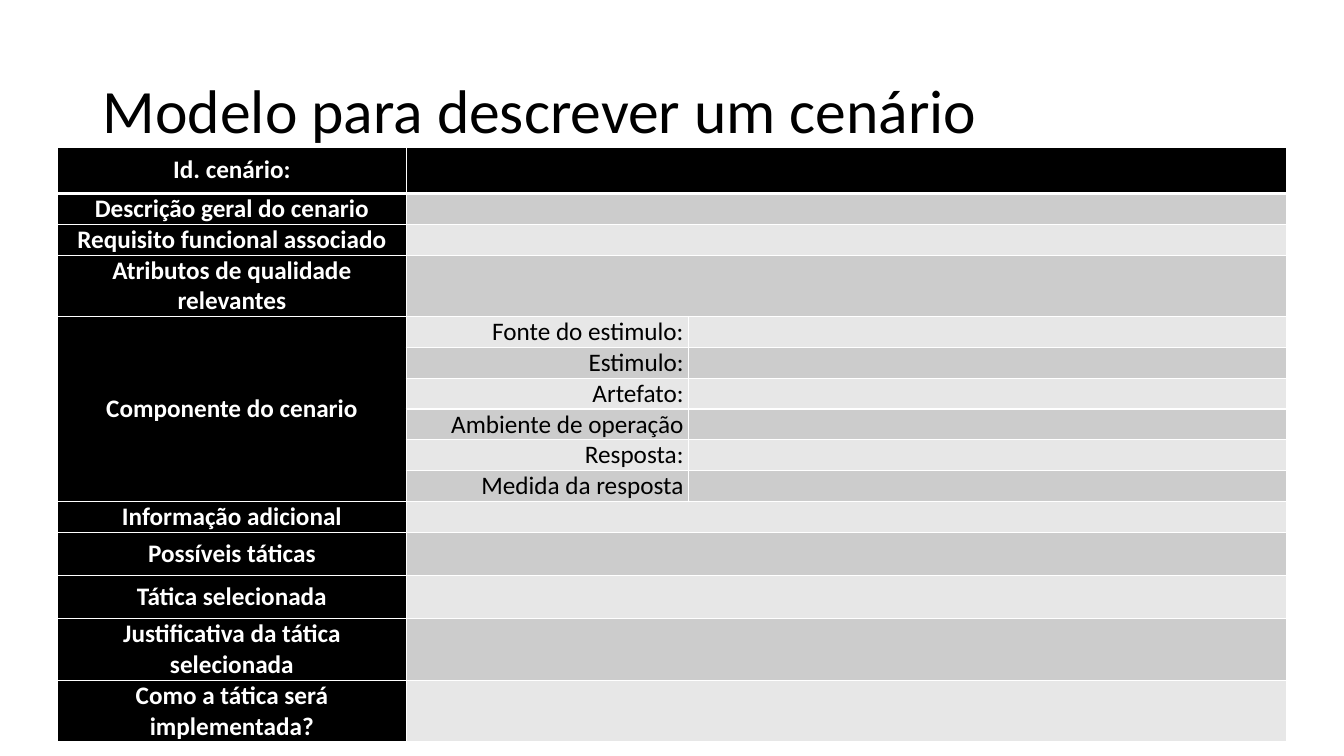
from dataclasses import dataclass

from lxml import etree
from pptx import Presentation
from pptx.dml.color import RGBColor
from pptx.enum.text import MSO_ANCHOR, MSO_AUTO_SIZE, PP_ALIGN
from pptx.oxml.ns import qn
from pptx.util import Inches, Pt

LEFT, CENTER, RIGHT = PP_ALIGN.LEFT, PP_ALIGN.CENTER, PP_ALIGN.RIGHT
MIDDLE = MSO_ANCHOR.MIDDLE
NO_AUTOFIT = MSO_AUTO_SIZE.NONE
TITLE_ONLY = 5

LINE, TALL, DOUBLE = 0.3, 0.43, 0.61
COLUMN_WIDTHS = [3.46, 2.8, 5.93]
COMPONENT = "Componente do cenario"
COMPONENT_PARTS = ["Fonte do estimulo:", "Estimulo:", "Artefato:",
                   "Ambiente de operação", "Resposta:", "Medida da resposta"]
# Row heading, second-column label, row height
ROWS = [
    ("Id. cenário:", "", 0.46),
    ("Descrição geral do cenario", "", LINE),
    ("Requisito funcional associado", "", LINE),
    ("Atributos de qualidade relevantes", "", DOUBLE),
    *[(COMPONENT if i == 0 else "", part, LINE) for i, part in enumerate(COMPONENT_PARTS)],
    ("Informação adicional", "", LINE),
    ("Possíveis táticas", "", TALL),
    ("Tática selecionada", "", TALL),
    ("Justificativa da tática selecionada", "", DOUBLE),
    ("Como a tática será implementada?", "", DOUBLE),
]


@dataclass(frozen=True)
class Theme:
    font: str = "Calibri"
    title_size: int = 44
    cell_size: int = 18
    dark: str = "000000"
    light: str = "FFFFFF"
    bands: tuple = ("E7E7E7", "CCCCCC")
    border: float = 1
    header_border: float = 3


def write_text(tf, text, *, font, size, color, bold=False, align=LEFT, spacing=None):
    p = tf.paragraphs[0]
    p.alignment = align
    p.line_spacing = spacing
    r = p.add_run()
    r.text = text
    r.font.name = font
    r.font.size = Pt(size)
    r.font.bold = bold
    r.font.color.rgb = RGBColor.from_string(color)


def set_borders(cell, color, **widths):
    """Draw the sides L, R, T and B at the given widths in points."""
    tc_pr = cell._tc.get_or_add_tcPr()
    for side, width in widths.items():
        ln = etree.SubElement(tc_pr, qn(f"a:ln{side}"), w=str(Pt(width)))
        fill = etree.SubElement(ln, qn("a:solidFill"))
        etree.SubElement(fill, qn("a:srgbClr"), val=color)


class SlideBuilder:
    def __init__(self, slide, theme):
        self.slide = slide
        self.theme = theme

    def title(self, text, left, top, width, height):
        sp = self.slide.shapes.title
        sp.left, sp.top, sp.width, sp.height = map(Inches, (left, top, width, height))
        tf = sp.text_frame
        tf.word_wrap = True
        tf.auto_size = NO_AUTOFIT
        tf.vertical_anchor = MIDDLE
        write_text(tf, text, font=self.theme.font, size=self.theme.title_size,
                   color=self.theme.dark, spacing=0.9)

    def cell(self, cell, row, col, text):
        th = self.theme
        heading = col == 0
        cell.margin_left = cell.margin_right = Inches(0.05)
        cell.margin_top = cell.margin_bottom = 0
        cell.vertical_anchor = MIDDLE
        set_borders(cell, th.light, L=th.border, R=th.border,
                    T=th.header_border if row == 1 else th.border,
                    B=th.header_border if row == 0 else th.border)
        cell.fill.solid()
        color = th.dark if heading or row == 0 else th.bands[row % 2]
        cell.fill.fore_color.rgb = RGBColor.from_string(color)
        if text:
            write_text(cell.text_frame, text, font=th.font, size=th.cell_size,
                       color=th.light if heading else th.dark, bold=heading,
                       align=CENTER if heading else RIGHT)

    def scenario_table(self, left, top):
        heights = [height for _, _, height in ROWS]
        frame = self.slide.shapes.add_table(
            len(ROWS), len(COLUMN_WIDTHS), Inches(left), Inches(top),
            Inches(sum(COLUMN_WIDTHS)), Inches(sum(heights)))
        table = frame.table
        table.horz_banding = table.first_row = False
        for column, width in zip(table.columns, COLUMN_WIDTHS):
            column.width = Inches(width)
        for i, (heading, label, height) in enumerate(ROWS):
            table.rows[i].height = Inches(height)
            for j, text in enumerate((heading, label, "")):
                self.cell(table.cell(i, j), i, j, text)
            if not label:
                table.cell(i, 1).merge(table.cell(i, 2))
            if heading == COMPONENT:
                table.cell(i, 0).merge(table.cell(i + len(COMPONENT_PARTS) - 1, 0))


def main():
    prs = Presentation()
    prs.slide_width, prs.slide_height = Inches(13.33), Inches(7.5)
    s = SlideBuilder(prs.slides.add_slide(prs.slide_layouts[TITLE_ONLY]), Theme())
    s.title("Modelo para descrever um cenário", 0.92, 0.4, 11.5, 1.45)
    s.scenario_table(0.57, 1.46)
    prs.save("out.pptx")


if __name__ == "__main__":
    main()
